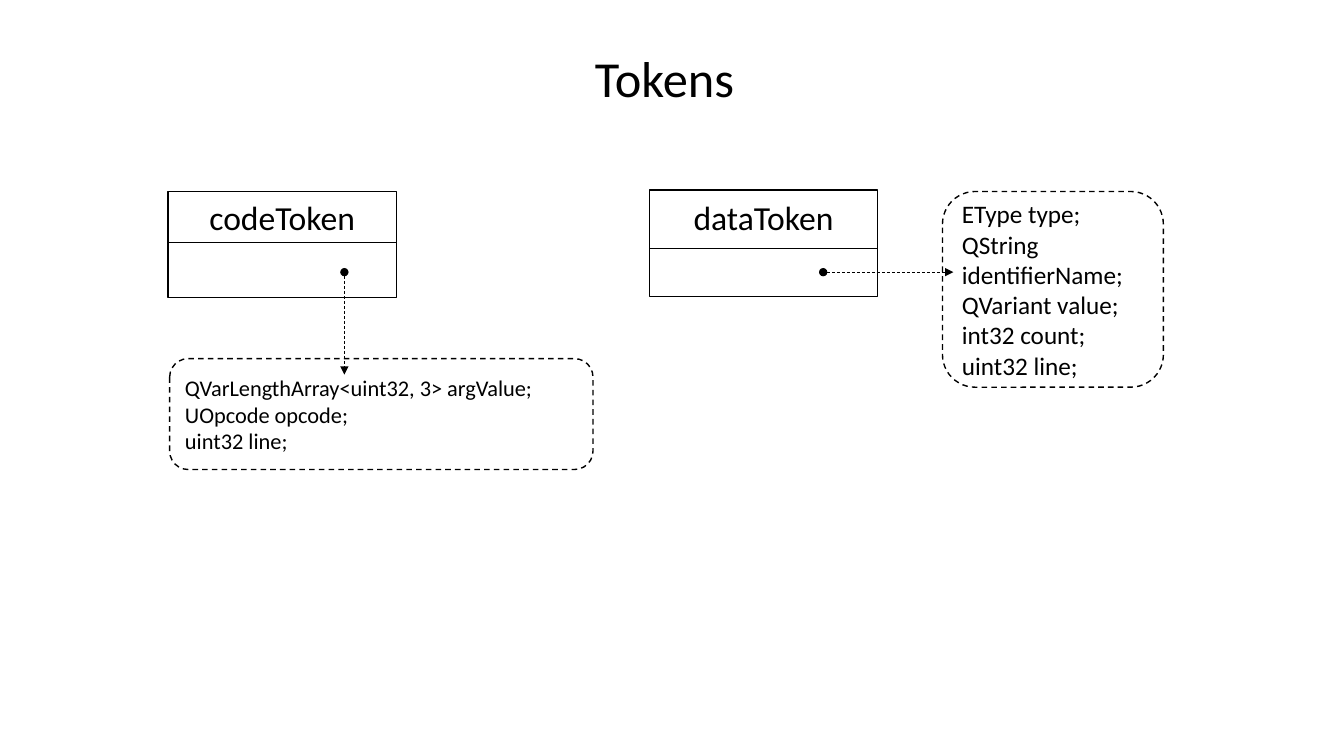
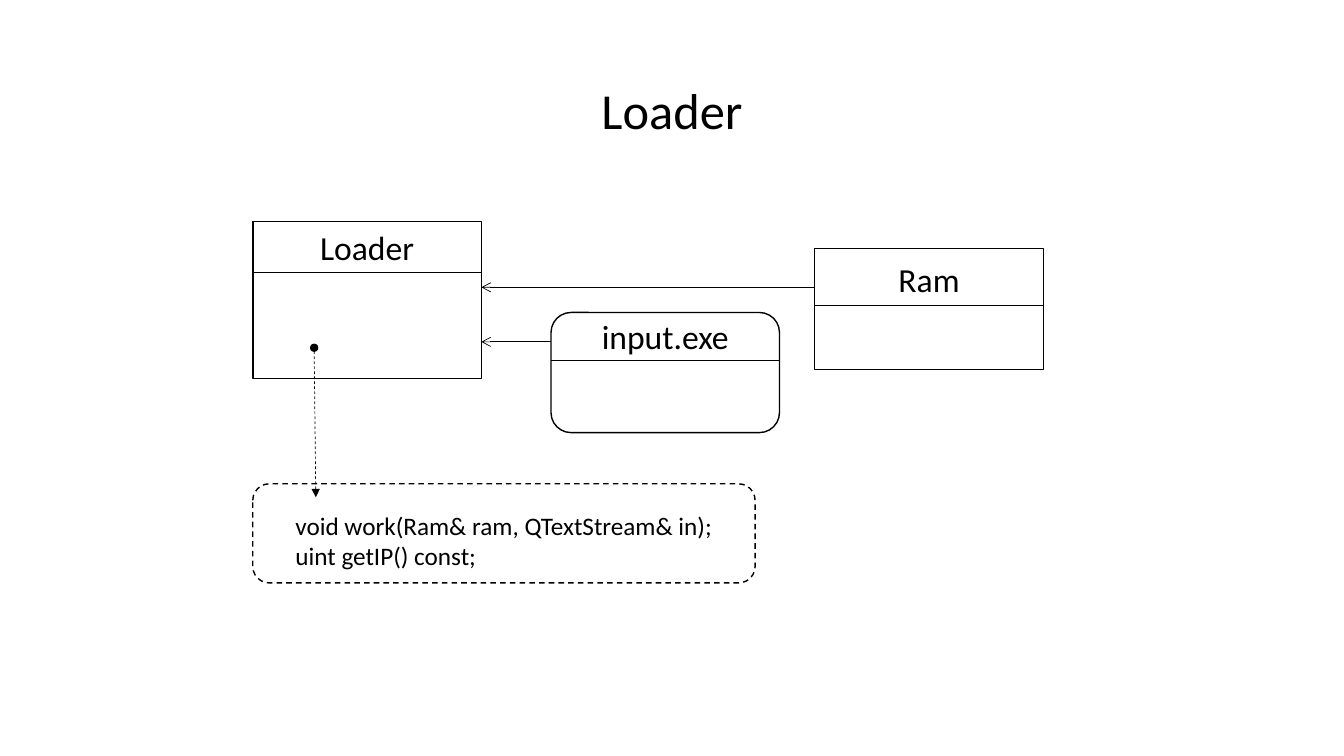
from dataclasses import dataclass

from lxml import etree
from pptx import Presentation
from pptx import util as u
from pptx.dml import color
from pptx.enum import dml, shapes, text
from pptx.oxml import ns

# Grid: 160 columns by 90 rows of square cells, twelve to the inch
CELL = u.Inches(1) / 12
COLUMNS, ROWS = 160, 90


@dataclass(frozen=True)
class Theme:
    font: str = "Calibri"
    ink: color.RGBColor = color.RGBColor(0, 0, 0)
    paper: color.RGBColor = color.RGBColor(255, 255, 255)
    title_size: int = 36
    name_size: int = 24
    member_size: int = 18
    small_size: int = 16
    outline: float = 1
    thin: float = 0.5


@dataclass(frozen=True)
class Box:
    left: float
    top: float
    width: float
    height: float

    @property
    def right(self):
        return self.left + self.width

    def lengths(self):
        return [cells(n) for n in (self.left, self.top, self.width, self.height)]


THEME = Theme()
CLASS_WIDTH = 27.2


def cells(count):
    return u.Emu(round(count * CELL))


def set_text(frame, lines, size, align):
    frame.text = "\n".join(lines)
    for paragraph in frame.paragraphs:
        paragraph.alignment = align
        paragraph.font.name = THEME.font
        paragraph.font.size = u.Pt(size)
        paragraph.font.color.rgb = THEME.ink


def set_line(line, width, dashed=False):
    line.color.rgb = THEME.ink
    line.width = u.Pt(width)
    if dashed:
        line.dash_style = dml.MSO_LINE.DASH


def add_title(slide, box, title):
    shape = slide.shapes.title
    shape.left, shape.top, shape.width, shape.height = box.lengths()
    frame = shape.text_frame
    set_text(frame, [title], THEME.title_size, text.PP_ALIGN.CENTER)
    frame.word_wrap = False
    frame.vertical_anchor = text.MSO_ANCHOR.MIDDLE
    frame.paragraphs[0].line_spacing = 0.9


def add_panel(slide, box, kind, dashed=False):
    shape = slide.shapes.add_shape(kind, *box.lengths())
    shape.shadow.inherit = False
    shape.fill.solid()
    shape.fill.fore_color.rgb = THEME.paper
    set_line(shape.line, THEME.outline, dashed)
    return shape


def add_link(slide, start, end, head=None, tail=None, dashed=False):
    """Draw a thin line between two grid points, with optional ends."""
    connector = slide.shapes.add_connector(
        shapes.MSO_CONNECTOR.STRAIGHT, *(cells(n) for n in (*start, *end)))
    set_line(connector.line, THEME.thin, dashed)
    line = connector.line._get_or_add_ln()
    for tag, kind in (("a:headEnd", head), ("a:tailEnd", tail)):
        if kind:
            etree.SubElement(line, ns.qn(tag)).set("type", kind)
    etree.SubElement(connector._element.spPr, ns.qn("a:effectLst"))


def add_class(slide, box, name, name_rows, name_shift=0,
              kind=shapes.MSO_SHAPE.RECTANGLE):
    """Draw a class: outline, rule below the name, and the name."""
    add_panel(slide, box, kind)
    rule = box.top + name_rows
    add_link(slide, (box.left, rule), (box.right, rule))
    label_box = Box(box.left + 1.2, box.top + name_shift, box.width - 2.4, 6)
    label = slide.shapes.add_textbox(*label_box.lengths())
    label.text_frame.word_wrap = True
    set_text(label.text_frame, [name], THEME.name_size, text.PP_ALIGN.CENTER)


def add_members(slide, box, lines, size=THEME.member_size):
    """Draw the dashed panel that lists the members of a class."""
    shape = add_panel(slide, box, shapes.MSO_SHAPE.ROUNDED_RECTANGLE, dashed=True)
    frame = shape.text_frame
    frame.word_wrap = True
    frame.vertical_anchor = text.MSO_ANCHOR.MIDDLE
    set_text(frame, lines, size, text.PP_ALIGN.LEFT)
    return frame


def add_member_link(slide, start, end):
    add_link(slide, start, end, head="oval", tail="triangle", dashed=True)


def build_tokens(slide):
    add_title(slide, Box(69.5, 5.4, 19.2, 8.5), "Tokens")

    # Data token, with its fields to the right
    data = Box(77.3, 22.6, CLASS_WIDTH, 12.7)
    data_fields = Box(112.2, 22.8, 26.3, 23.3)
    add_class(slide, data, "dataToken", name_rows=7, name_shift=0.2)
    add_members(slide, data_fields, [
        "EType type;", "QString identifierName;", "QVariant value;",
        "int32 count;", "uint32 line;"])
    link_row = data.top + 9.8
    add_member_link(slide, (data.right - 6.5, link_row),
                    (data_fields.left + 1.3, link_row))

    # Code token, with its fields below
    code = Box(20, 22.8, CLASS_WIDTH, 12.6)
    code_fields = Box(20.2, 42.7, 50.4, 13.2)
    add_class(slide, code, "codeToken", name_rows=6)
    add_members(slide, code_fields, [
        "QVarLengthArray<uint32, 3> argValue;", "UOpcode opcode;",
        "uint32 line;"], THEME.small_size)
    link_column = code.left + 21
    add_member_link(slide, (link_column, code.top + 9.6),
                    (link_column, code_fields.top + 1.9))


def build_loader(slide):
    add_title(slide, Box(11, 4.8, 138, 17.4), "Loader")

    # Loader and its two inputs
    loader = Box(30.1, 26.4, CLASS_WIDTH, 18.7)
    ram = Box(97, 29.6, CLASS_WIDTH, 14.4)
    program = Box(65.6, 37.2, CLASS_WIDTH, 14.3)
    add_class(slide, loader, "Loader", name_rows=6)
    add_class(slide, ram, "Ram", name_rows=6.8, name_shift=0.6)
    add_class(slide, program, "input.exe", name_rows=5.7, name_shift=-0.2,
              kind=shapes.MSO_SHAPE.ROUNDED_RECTANGLE)
    for source, drop in ((ram, 4.6), (program, 3.5)):
        row = source.top + drop
        add_link(slide, (source.left, row), (loader.right, row), tail="arrow")

    # Loader methods
    methods = Box(30.1, 57.6, 59.8, 11.8)
    frame = add_members(slide, methods, [
        "void work(Ram& ram, QTextStream& in);", "uint getIP() const;"])
    frame.margin_left = cells(4.5)
    frame.margin_top = cells(2.2)
    add_member_link(slide, (loader.left + 7.3, loader.top + 15),
                    (methods.left + 7.5, methods.top + 1.6))


def main():
    presentation = Presentation()
    presentation.slide_width = cells(COLUMNS)
    presentation.slide_height = cells(ROWS)
    title_only = presentation.slide_layouts.get_by_name("Title Only")
    for build in (build_tokens, build_loader):
        build(presentation.slides.add_slide(title_only))
    presentation.save("out.pptx")


main()
